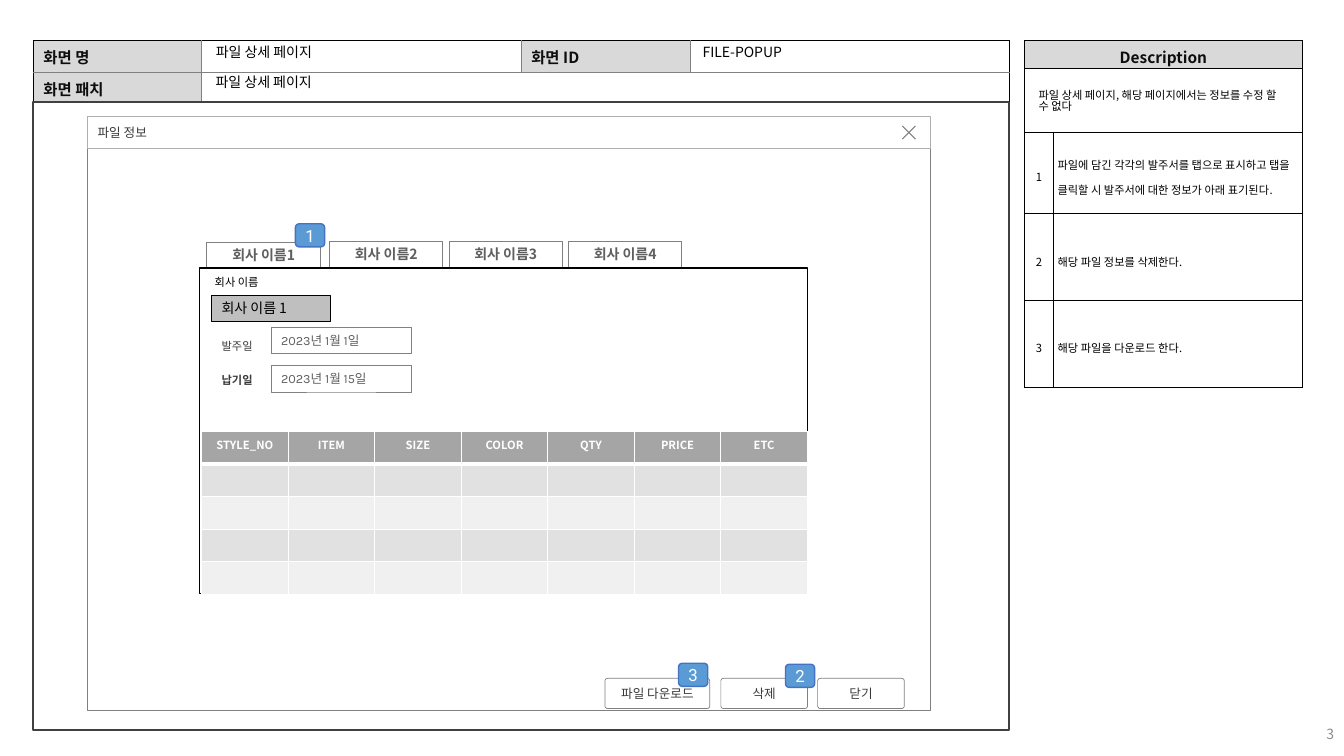
from dataclasses import dataclass
from typing import NamedTuple, Optional

from lxml.etree import SubElement
from pptx import Presentation
from pptx.dml.color import RGBColor
from pptx.enum.shapes import MSO_CONNECTOR, MSO_SHAPE
from pptx.enum.text import MSO_ANCHOR, MSO_AUTO_SIZE, PP_ALIGN
from pptx.oxml.ns import qn
from pptx.util import Inches, Pt

HUE = {"black": "000000", "white": "FFFFFF", "ink": "0D0D0D", "frame": "404040",
       "gray": "808080", "soft": "AFAFAF", "page": "8C8C8C", "text": "3B3838",
       "mute": "5F5F5F", "label": "D9D9D9", "field": "BFBFBF", "head": "A5A5A5",
       "odd": "E1E1E1", "even": "F0F0F0", "badge": "5B9BD5", "edge": "4472C4"}
NOTO, KARLA, ROBOTO = "Noto Sans CJK KR", "Karla", "Roboto"
LEFT, MID, RIGHT = PP_ALIGN.LEFT, PP_ALIGN.CENTER, PP_ALIGN.RIGHT
RECT, ROUND = MSO_SHAPE.RECTANGLE, MSO_SHAPE.ROUNDED_RECTANGLE


class Box(NamedTuple):
    x: float
    y: float
    w: float
    h: float


class Type(NamedTuple):
    size: float
    hue: str = "black"
    bold: bool = False
    font: str = NOTO


class Edge(NamedTuple):
    hue: str
    width: float


@dataclass
class Text:
    words: str
    type: Type
    align: PP_ALIGN = LEFT
    pitch: float = 1
    pad: tuple = (1, 0.5, 1, 0.5)
    anchor: MSO_ANCHOR = MSO_ANCHOR.MIDDLE


@dataclass
class Panel:
    box: Box
    edge: Edge
    text: Optional[Text] = None
    fill: str = "white"
    kind: MSO_SHAPE = RECT
    curve: Optional[float] = None


THIN, RULE, BOLD = Edge("gray", 0.5), Edge("black", 0.75), Edge("black", 1)
LABEL, BODY, SMALL = Type(11, "ink", True), Type(10), Type(8)
FORM = Type(9, "text", font=KARLA)

# Slide on a grid of 133.3 columns by 75 rows, each a tenth of an inch
deck = Presentation()
deck.slide_width, deck.slide_height = Inches(13.33), Inches(7.5)
slide = deck.slides.add_slide(deck.slide_layouts[1])
shapes = slide.shapes


def grid(n: float) -> int:
    return round(n * deck.slide_height / 75)


def rgb(name: str) -> RGBColor:
    return RGBColor.from_string(HUE[name])


def ink(para, text: Text) -> None:
    kind = text.type
    para.alignment, para.line_spacing, para.space_before = text.align, text.pitch, Pt(0)
    font = para.font
    font.size, font.bold, font.name = Pt(kind.size), kind.bold, kind.font
    font.color.rgb = rgb(kind.hue)
    SubElement(para._p.pPr.find(qn("a:defRPr")), qn("a:ea"), typeface=NOTO)
    if text.words:
        para.add_run().text = text.words
    else:
        SubElement(para._p, qn("a:endParaRPr"), sz=str(kind.size * 100))


def write(shape, text: Text) -> None:
    frame = shape.text_frame
    frame.word_wrap, frame.auto_size = True, MSO_AUTO_SIZE.NONE
    frame.vertical_anchor = text.anchor
    (frame.margin_left, frame.margin_top,
     frame.margin_right, frame.margin_bottom) = map(grid, text.pad)
    ink(frame.paragraphs[0], text)


def trim(shape, edge: Edge, fill: Optional[str] = None) -> None:
    shape.shadow.inherit = False
    if fill:
        shape.fill.solid()
        shape.fill.fore_color.rgb = rgb(fill)
    else:
        shape.fill.background()
    shape.line.color.rgb, shape.line.width = rgb(edge.hue), Pt(edge.width)


def draw(panel: Panel) -> None:
    shape = shapes.add_shape(panel.kind, *map(grid, panel.box))
    trim(shape, panel.edge, panel.fill)
    if panel.curve is not None:
        shape.adjustments[0] = panel.curve
    if panel.text:
        write(shape, panel.text)


def note(box: Box, text: Text) -> None:
    write(shapes.add_textbox(*map(grid, box)), text)


def hold(shape, box: Box, text: Text) -> None:
    """Move a placeholder to the front and give it plain text."""
    shape.left, shape.top, shape.width, shape.height = map(grid, box)
    write(shape, text)
    props = shape.text_frame.paragraphs[0]._p.pPr
    props.set("marL", "0")
    props.set("indent", "0")
    props.find(qn("a:defRPr")).addprevious(props.makeelement(qn("a:buNone")))
    shapes._spTree.append(shape._element)


def line(x: float, y: float, end: float) -> None:
    link = shapes.add_connector(MSO_CONNECTOR.STRAIGHT, *map(grid, (x, y, end, y)))
    link.line.color.rgb, link.line.width = rgb(THIN.hue), Pt(THIN.width)
    SubElement(link._element.spPr, qn("a:effectLst"))


def border(cell, side: str, edge: Edge) -> None:
    rule = SubElement(cell._tc.get_or_add_tcPr(), qn(f"a:ln{side}"),
                      w=str(Pt(edge.width)))
    SubElement(SubElement(rule, qn("a:solidFill")), qn("a:srgbClr"),
               val=HUE[edge.hue])


def fit(cell, text: Text, fill: str, edges: dict) -> None:
    for side in "LRTB":
        border(cell, side, edges[side])
    cell.fill.solid()
    cell.fill.fore_color.rgb = rgb(fill)
    (cell.margin_left, cell.margin_top,
     cell.margin_right, cell.margin_bottom) = map(grid, text.pad)
    cell.vertical_anchor = text.anchor
    ink(cell.text_frame.paragraphs[0], text)


def table(x: float, y: float, cols: list, rows: list, cells: list,
          outer: Edge, inner: Edge, merge: tuple = (), under: Optional[Edge] = None) -> None:
    """Cells are rows of (Text, fill); under is the rule below the first row."""
    obj = shapes.add_table(len(rows), len(cols), *map(grid, (x, y, sum(cols), sum(rows))))
    tab = obj.table
    tab.first_row = tab.horz_banding = False
    for part, size in zip(tab.columns, cols):
        part.width = grid(size)
    for part, size in zip(tab.rows, rows):
        part.height = grid(size)
    for start, stop in merge:
        tab.cell(*start).merge(tab.cell(*stop))
    for r, row in enumerate(cells):
        for c, (text, fill) in enumerate(row):
            cell = tab.cell(r, c)
            if cell.is_spanned:
                continue
            ends = {"L": c == 0, "R": c + cell.span_width == len(cols),
                    "T": r == 0, "B": r == len(rows) - 1}
            edges = {side: outer if end else inner for side, end in ends.items()}
            if under and r < 2:
                edges["T" if r else "B"] = under
            fit(cell, text, fill, edges)


# Page header
def label(words: str, align: PP_ALIGN = LEFT) -> tuple:
    return Text(words, LABEL, align), "label"


blank = Text("", SMALL), "white"
table(3.3, 4, [16.7, 31.7, 16.8, 31.6], [2.8, 2.8],
      [[label("화면 명"), blank, label("화면 ID"), blank],
       [label("화면 패치"), blank, blank, blank]],
      RULE, THIN, merge=(((1, 1), (1, 3)),))
draw(Panel(Box(3.3, 10.1, 96.8, 62.3), Edge("frame", 1.5)))

# Description column
table(101.6, 4, [27.6], [2.8], [[label("Description", MID)]], RULE, RULE)
table(101.6, 6.8, [27.6], [6.5], [[blank]], RULE, RULE)
steps = ["파일에 담긴 각각의 발주서를 탭으로 표시하고 탭을 클릭할 시 발주서에 대한 정보가 아래 표기된다.",
         "해당 파일 정보를 삭제한다.", "해당 파일을 다운로드 한다."]
tight = (0.4, 0.5, 0.4, 0.5)
table(101.6, 13.1, [2.9, 24.7], [8.1, 8.6, 8.6],
      [[(Text(str(n), SMALL, MID, 1.5, tight), "white"),
        (Text(step, SMALL, LEFT, 1.5, tight), "white")]
       for n, step in enumerate(steps, 1)], RULE, RULE)

# Header values
hold(shapes.title, Box(20.4, 4.2, 30.9, 2.2), Text("파일 상세 페이지", BODY, pitch=0.9))
note(Box(68.7, 4.2, 30.9, 2.2), Text("FILE-POPUP", BODY, pitch=0.9))
note(Box(20.4, 7.1, 79.2, 2.2), Text("파일 상세 페이지", BODY, pitch=0.9))
hold(slide.placeholders[1], Box(102, 7.1, 26.8, 6),
     Text("파일 상세 페이지, 해당 페이지에서는 정보를 수정 할 수 없다", SMALL, pitch=0.8))
note(Box(127.8, 70.8, 5.5, 4), Text("3", Type(10, "page"), RIGHT))

# Popup window with its close cross
draw(Panel(Box(8.7, 14.5, 83.6, 56), THIN))
draw(Panel(Box(8.7, 11.5, 83.6, 3.2), Edge("soft", 0.5),
           Text("파일 정보", FORM, pad=(1, 0.5, 2.5, 0.5))))
pen = shapes.build_freeform(grid(90.8), grid(12.5))
pen.add_line_segments([(grid(89.5), grid(13.8))], close=False)
pen.move_to(grid(89.5), grid(12.5))
pen.add_line_segments([(grid(90.8), grid(13.8))], close=False)
trim(pen.convert_to_shape(), Edge("gray", 0.75))

# Company tabs
line(19.8, 26.6, 20.9)
line(30.9, 26.6, 80.1)
tabs = [Text(f"회사 이름{n}", Type(10, "mute", True), MID, pad=(0.5,) * 4)
        for n in range(1, 5)]
pen = shapes.build_freeform(grid(20.5), grid(26.6))
pen.add_line_segments([(grid(x), grid(y)) for x, y in
                       ((20.5, 24), (31.8, 24), (31.8, 26.6))], close=False)
first = pen.convert_to_shape()
trim(first, THIN, "white")
write(first, tabs[0])
for n, text in enumerate(tabs[1:]):
    draw(Panel(Box(32.7 + 11.85 * n, 23.9, 11.2, 2.6), THIN, text))

# Order sheet
draw(Panel(Box(19.8, 26.6, 60.3, 32.3), BOLD))
heads = ["STYLE_NO", "ITEM", "SIZE", "COLOR", "QTY", "PRICE", "ETC"]
top = [(Text(head, Type(8, "white", True), MID, anchor=MSO_ANCHOR.TOP), "head")
       for head in heads]
bands = [[(blank[0], fill)] * len(heads) for fill in ("odd", "even") * 2]
table(20, 42.8, [60.1 / 7] * 7, [3.24] * 5, [top] + bands,
      Edge("white", 1), Edge("white", 1), under=Edge("white", 3))
draw(Panel(Box(21, 29.3, 11.8, 2.6), BOLD, Text("회사 이름 1", BODY), "field"))
note(Box(20, 26.8, 12.7, 2.4),
     Text("회사 이름", SMALL, pad=(1.3, 0.5, 1, 0.5), anchor=MSO_ANCHOR.TOP))
for name, bold, y, day, dy in (("발주일", False, 32.5, "2023년 1월 1일", 32.5),
                               ("납기일", True, 35.9, "2023년 1월 15일", 36.3)):
    note(Box(21, y, 10.6, 2.8),
         Text(name, Type(8, "text", bold), pitch=1.5, anchor=MSO_ANCHOR.TOP))
    draw(Panel(Box(26.9, dy, 13.9, 2.6), THIN,
               Text(day, Type(9, "mute", font=KARLA), pad=(1, 0.6, 2.8, 0.6))))

# Buttons and numbered badges
for name, x, w in (("닫기", 81.1, 8.6), ("삭제", 71.5, 8.6), ("파일 다운로드", 60, 10.4)):
    draw(Panel(Box(x, 67.3, w, 3), THIN, Text(name, FORM, MID), kind=ROUND, curve=0.088))
for n, (x, y) in enumerate(((29.3, 22.2), (77.9, 65.9), (67.3, 65.8)), 1):
    draw(Panel(Box(x, y, 2.9, 2.3), Edge("edge", 1),
               Text(str(n), Type(12, "white", font=ROBOTO), MID, pad=(0.4,) * 4),
               "badge", ROUND))

deck.save("out.pptx")
